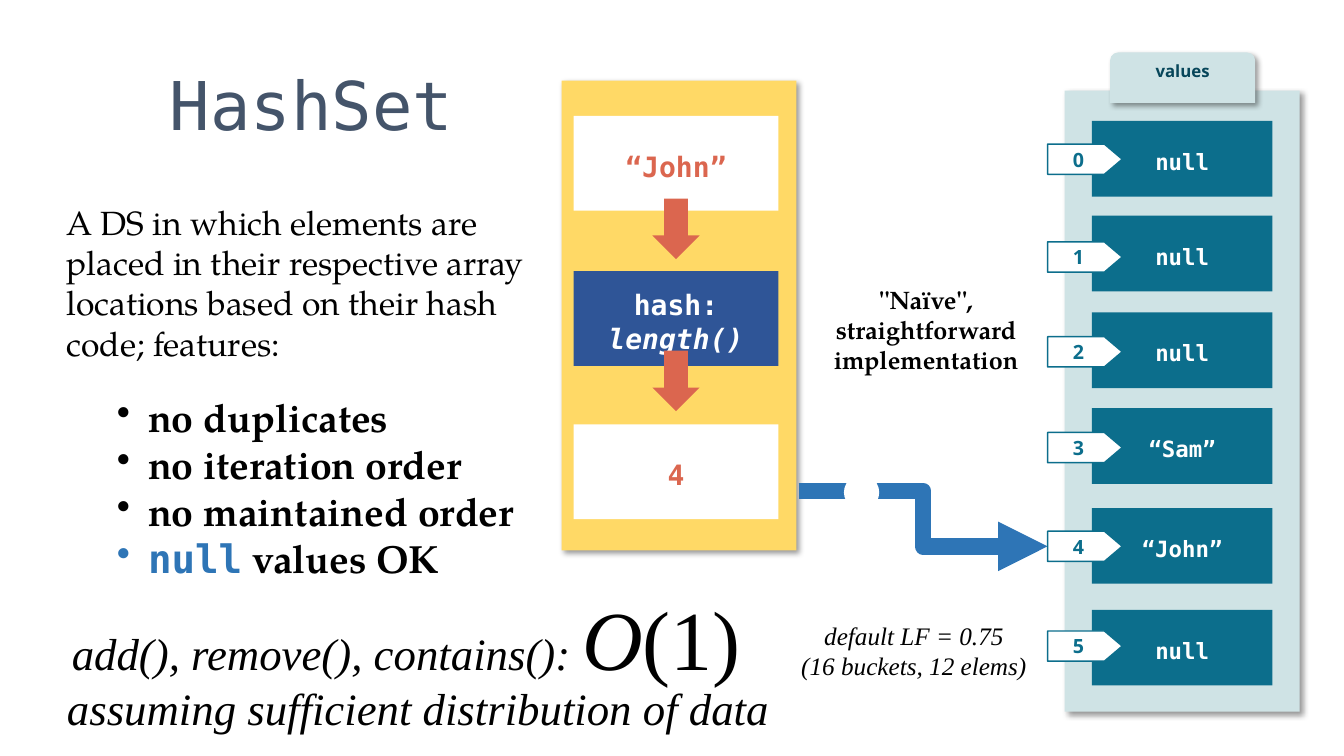
from dataclasses import dataclass, replace
from typing import Optional

from lxml import etree
from pptx import Presentation
from pptx import util as u
from pptx.dml.color import RGBColor
from pptx.enum import shapes, text
from pptx.oxml import ns

# The grid has 133.3 columns and 75 rows of a tenth of an inch.
CELL = 0.1
COLS, ROWS = 133.3, 75

HUES = {
    "ink": "000000", "title": "44546A", "white": "FFFFFF", "gold": "FFD966",
    "coral": "DB664F", "navy": "2F5597", "blue": "2E75B6", "pale": "CFE3E5",
    "teal": "0C6E8C", "deep": "07465A",
}
MONO, SANS = "DejaVu Sans Mono", "Open Sans"
BOOK, TIMES = "TeX Gyre Pagella", "Times New Roman"
KIND = shapes.MSO_SHAPE
PAD = (1, 0.5, 1, 0.5)
CARD = (1, 1, 1, 0.5)


@dataclass(frozen=True)
class Run:
    words: str
    size: float
    face: str
    hue: str = "ink"
    bold: bool = False
    slant: bool = False


@dataclass(frozen=True)
class Para:
    runs: tuple[Run, ...]
    mid: bool = True
    dot: bool = False
    gap: float = 0
    lead: Optional[float] = None


@dataclass(frozen=True)
class Area:
    col: float
    row: float
    wide: float
    high: float


@dataclass(frozen=True)
class Note:
    area: Area
    paras: tuple[Para, ...]
    wrap: bool = True
    low: bool = False


@dataclass(frozen=True)
class Bucket:
    row: float
    tag: float
    value: str


def span(cells: float) -> u.Emu:
    return u.Inches(cells * CELL)


def box(area: Area) -> tuple:
    return tuple(span(n) for n in (area.col, area.row, area.wide, area.high))


def tint(hue: str) -> RGBColor:
    return RGBColor.from_string(HUES[hue])


def write(frame, paras: tuple[Para, ...], pad: tuple = PAD) -> None:
    frame.word_wrap = True
    (frame.margin_left, frame.margin_top,
     frame.margin_right, frame.margin_bottom) = map(span, pad)
    for i, para in enumerate(paras):
        p = frame.add_paragraph() if i else frame.paragraphs[0]
        p.alignment = text.PP_ALIGN.CENTER if para.mid else text.PP_ALIGN.LEFT
        if para.dot:
            props = p._p.get_or_add_pPr()
            props.set("marL", str(span(8.1)))
            props.set("indent", str(-span(3.1)))
            etree.SubElement(props, ns.qn("a:buChar")).set("char", "•")
        if para.gap:
            p.space_before = u.Pt(para.gap)
        if para.lead:
            p.line_spacing = u.Pt(para.lead)
        for run in para.runs:
            r = p.add_run()
            r.text = run.words
            r.font.size, r.font.name = u.Pt(run.size), run.face
            r.font.bold, r.font.italic = run.bold, run.slant
            r.font.color.rgb = tint(run.hue)


def draw(slide, kind: KIND, area: Area, fill: str, *runs: Run,
         edge: str = "", pad: tuple = CARD):
    shape = slide.shapes.add_shape(kind, *box(area))
    shape.shadow.inherit = False
    shape.fill.solid()
    shape.fill.fore_color.rgb = tint(fill)
    if edge:
        shape.line.color.rgb = tint(edge)
        shape.line.width = u.Pt(1)
    else:
        shape.line.fill.background()
    if runs:
        shape.text_frame.vertical_anchor = text.MSO_ANCHOR.MIDDLE
        write(shape.text_frame, (Para(runs),), pad)
    return shape


def shade(shape) -> None:
    """Cast a soft shadow to the lower right."""
    glow = shape._element.spPr.find(ns.qn("a:effectLst"))
    cast = etree.SubElement(glow, ns.qn("a:outerShdw"), blurRad=str(u.Pt(4)),
                            dist=str(u.Pt(3)), dir="2700000", algn="tl",
                            rotWithShape="0")
    hue = etree.SubElement(cast, ns.qn("a:srgbClr"), val=HUES["ink"])
    etree.SubElement(hue, ns.qn("a:alpha"), val="40000")


def jot(slide, note: Note) -> None:
    frame = slide.shapes.add_textbox(*box(note.area)).text_frame
    write(frame, note.paras)
    frame.word_wrap = note.wrap
    if note.low:
        frame.vertical_anchor = text.MSO_ANCHOR.BOTTOM


def link(slide) -> None:
    """Lead from the hash result to its bucket, with a break in the line."""
    line = slide.shapes.add_connector(
        shapes.MSO_CONNECTOR.ELBOW,
        *(span(n) for n in (79.2, 48.7, 103.9, 54.2)))
    line.line.color.rgb = tint("blue")
    line.line.width = u.Pt(11.75)
    etree.SubElement(line.line._get_or_add_ln(), ns.qn("a:tailEnd"),
                     type="triangle")
    etree.SubElement(line._element.spPr, ns.qn("a:effectLst"))
    draw(slide, KIND.OVAL, Area(83.7, 47.1, 3.5, 3.5), "white")


POINT = Run("", 28, BOOK, bold=True)
TRAITS = ("no duplicates", "no iteration order", "no maintained order")
COST = Run("add(), remove(), contains(): ", 32, TIMES, slant=True)
LOAD = ("default LF = 0.75", "(16 buckets, 12 elems)")
NOTES = (
    Note(Area(6.7, 5.3, 48.4, 9.5),
         (Para((Run("HashSet", 48, MONO, "title"),), lead=48),), low=True),
    Note(Area(5.6, 19.5, 47.9, 39), (
        Para((Run("A DS in which elements are placed in their respective "
                  "array locations based on their hash code; features:",
                  24, BOOK),), mid=False),
        *(Para((replace(POINT, words=trait),), mid=False, dot=True,
               gap=0 if i else 22) for i, trait in enumerate(TRAITS)),
        Para((replace(POINT, words="null", face=MONO, hue="blue"),
              replace(POINT, words=" values OK")), mid=False, dot=True))),
    Note(Area(5.8, 57.7, 69, 11.1), (Para((
        COST, replace(COST, words="O", size=60),
        Run("(1)", 60, TIMES))),), wrap=False),
    Note(Area(5.3, 67, 72.4, 6.4), (Para((replace(
        COST, words="assuming sufficient distribution of data"),)),),
        wrap=False),
    Note(Area(75.3, 61, 30.7, 7.1), tuple(
        Para((Run(words, 18, TIMES, slant=True),)) for words in LOAD)),
    Note(Area(81.6, 27.7, 20.5, 10.1), (Para((Run(
        '"Naïve", straightforward implementation', 18, BOOK, bold=True),)),)),
)

KEY = Run("“John”", 20, MONO, "coral", bold=True)
CALL = replace(KEY, words="hash: ", hue="white")
STEPS = (
    (11.5, "white", (KEY,)),
    (26.9, "navy", (CALL, replace(CALL, words="length()", slant=True))),
    (42.1, "white", (replace(KEY, words="4"),)),
)
BUCKETS = (
    Bucket(12, 14.3, "null"), Bucket(21.4, 24, "null"),
    Bucket(31, 33.4, "null"), Bucket(40.5, 42.9, "“Sam”"),
    Bucket(50.4, 52.7, "“John”"), Bucket(60.5, 62.6, "null"),
)


def hash_flow(slide) -> None:
    shade(draw(slide, KIND.RECTANGLE, Area(55.7, 8, 23.3, 46.6), "gold"))
    for row, fill, runs in STEPS:
        draw(slide, KIND.RECTANGLE, Area(56.9, row, 20.3, 9.4), fill, *runs)
    for row in (19.7, 34.8):
        draw(slide, KIND.DOWN_ARROW, Area(64.7, row, 4.7, 6), "coral")


def table(slide) -> None:
    """Draw the array of buckets with its index tags."""
    shade(draw(slide, KIND.RECTANGLE, Area(105.6, 9, 23.3, 61.6), "pale"))
    shade(draw(slide, KIND.ROUND_2_SAME_RECTANGLE, Area(110.1, 5.2, 14.4, 5),
               "pale", Run("values", 12, SANS, "deep", bold=True),
               pad=(1, 0, 1, 1.5)))
    for i, slot in enumerate(BUCKETS):
        draw(slide, KIND.RECTANGLE, Area(108.3, slot.row, 17.9, 7.5), "teal",
             Run(slot.value, 16, MONO, "white", bold=True))
        tag = draw(slide, KIND.RIGHT_ARROW, Area(103.9, slot.tag, 7.4, 3),
                   "white", Run(str(i), 14, SANS, "teal", bold=True),
                   edge="teal", pad=(1.5, 0.5, 1, 0.5))
        tag.adjustments[0], tag.adjustments[1] = 1, 0.59


def main() -> None:
    deck = Presentation()
    deck.slide_width, deck.slide_height = span(COLS), span(ROWS)
    slide = deck.slides.add_slide(deck.slide_layouts[6])
    for note in NOTES:
        jot(slide, note)
    hash_flow(slide)
    link(slide)
    table(slide)
    deck.save("out.pptx")


if __name__ == "__main__":
    main()
